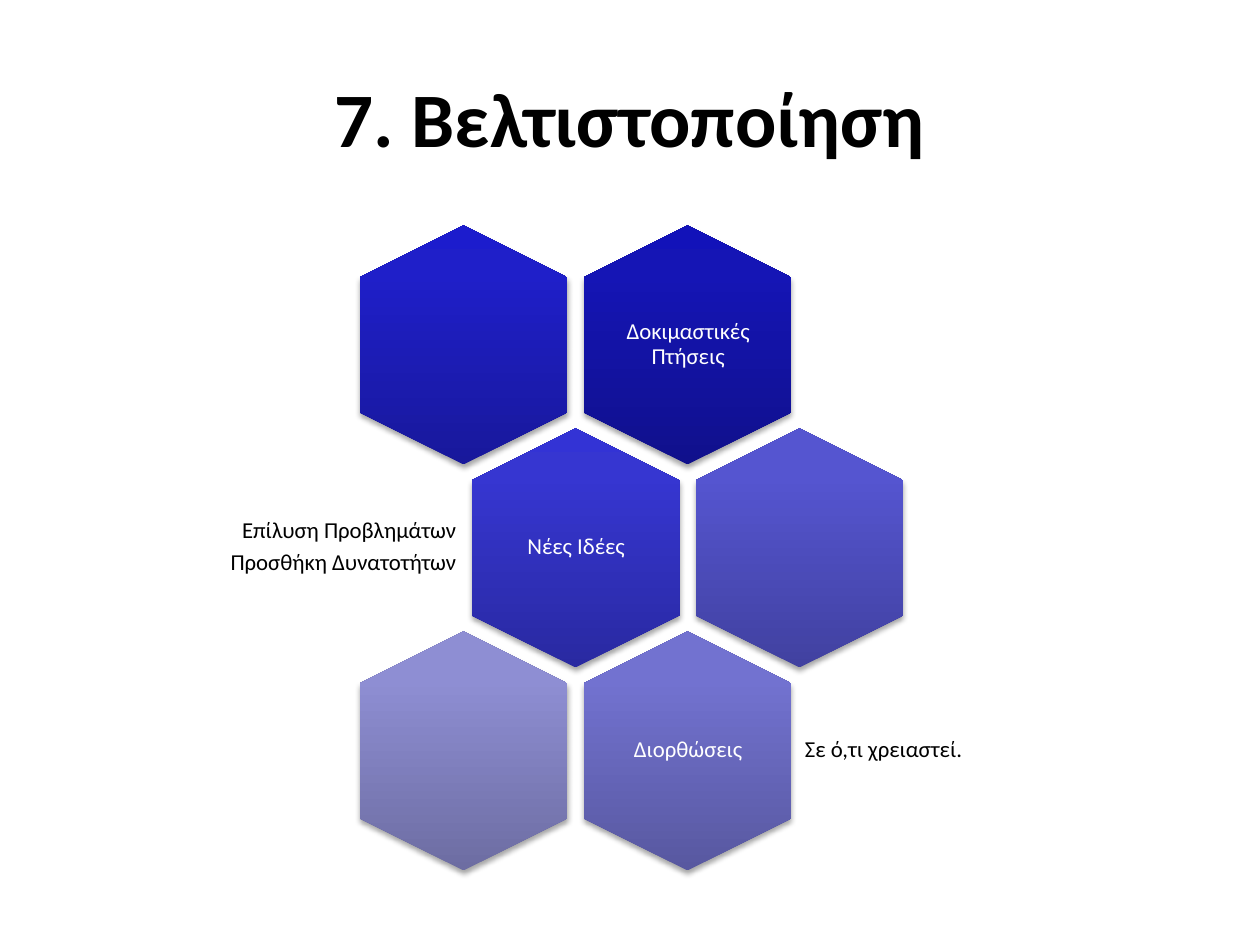
"""Build the optimisation slide: a honeycomb of six hexagons with captions."""
import pptx
import pptx.util
import pptx.oxml
import pptx.oxml.ns
import pptx.dml.color
import pptx.enum.shapes
import pptx.enum.text

PX = 914400 // 126
ALIGN = pptx.enum.text.PP_ALIGN
MIDDLE = pptx.enum.text.MSO_ANCHOR.MIDDLE
THEME = {
    "font": "Calibri", "head": 44, "body": 13, "gap": 4.55,
    "dark": "000000", "light": "FFFFFF",
}


def box(px):
    return [round(n * PX) for n in px]


def write(shape, lines, size, tint, align, bold=False):
    frame = shape.text_frame
    frame.word_wrap = True
    frame.vertical_anchor = MIDDLE
    for i, line in enumerate(lines):
        para = frame.add_paragraph() if i else frame.paragraphs[0]
        para.alignment = align
        if size == THEME["body"]:
            para.line_spacing = 0.9
            para.space_after = pptx.util.Pt(THEME["gap"])
        run = para.add_run()
        run.text = line
        run.font.name = THEME["font"]
        run.font.size = pptx.util.Pt(size)
        run.font.bold = bold
        run.font.color.rgb = pptx.dml.color.RGBColor.from_string(tint)


deck = pptx.Presentation()
deck.slide_width, deck.slide_height = pptx.util.Inches(10), pptx.util.Inches(7.5)
slide = deck.slides.add_slide(deck.slide_layouts[5])
title = slide.shapes.title
title.left, title.top, title.width, title.height = box((63, 38, 1134, 158))
write(title, ["7. Βελτιστοποίηση"], THEME["head"], THEME["dark"], ALIGN.CENTER, True)

LEFT, TOP, LONG, SHORT = 344, 241, 239, 208
HALF, DROP = 112, 203
cells = [
    (2, 0, ("10108C", "1515B5", "1212B9"), "Δοκιμαστικές Πτήσεις"),
    (0, 0, ("18189B", "1F1FC9", "1C1CCD"), ""),
    (1, 1, ("2929A1", "3636D1", "3333D5"), "Νέες Ιδέες"),
    (3, 1, ("4141A0", "5555D0", "5353D3"), ""),
    (2, 2, ("5858A0", "7272D0", "7171D3"), "Διορθώσεις"),
    (0, 2, ("6D6DA2", "8E8ED3", "8D8DD5"), ""),
]
notes = [
    ((204, 475, 258, 144), ["Επίλυση Προβλημάτων", "Προσθήκη Δυνατοτήτων"],
     THEME["dark"], ALIGN.RIGHT),
    ((799, 678, 267, 144), ["Σε ό,τι χρειαστεί."], THEME["dark"], ALIGN.LEFT),
]

NS = pptx.oxml.ns.nsdecls("a")
SHADE = f"""<a:effectLst {NS}>
<a:outerShdw blurRad="40000" dist="23000" dir="5400000" rotWithShape="0">
<a:srgbClr val="000000"><a:alpha val="35000"/></a:srgbClr>
</a:outerShdw></a:effectLst>"""

for col, row, tints, label in cells:
    x, y = LEFT + col * HALF, TOP + row * DROP
    cell = slide.shapes.add_shape(
        pptx.enum.shapes.MSO_SHAPE.HEXAGON, *box((x, y, LONG, SHORT)))
    cell.rotation = 90
    stops = "".join(
        f'<a:gs pos="{at}000"><a:srgbClr val="{tint}"/></a:gs>'
        for at, tint in zip((0, 80, 100), tints))
    grad = (f'<a:gradFill {NS} rotWithShape="0"><a:gsLst>{stops}</a:gsLst>'
            '<a:lin ang="16200000" scaled="0"/></a:gradFill>')
    props = cell._element.spPr
    props.append(pptx.oxml.parse_xml(grad))
    cell.line.fill.background()
    props.append(pptx.oxml.parse_xml(SHADE))
    if label:
        notes.append(((x + 48, y + 21, 144, 165), [label], THEME["light"], ALIGN.CENTER))

for place, lines, tint, align in notes:
    note = slide.shapes.add_textbox(*box(place))
    frame = note.text_frame
    frame.margin_left = frame.margin_right = box((6,))[0]
    frame.margin_top = frame.margin_bottom = box((6,))[0]
    write(note, lines, THEME["body"], tint, align)

deck.save("out.pptx")
